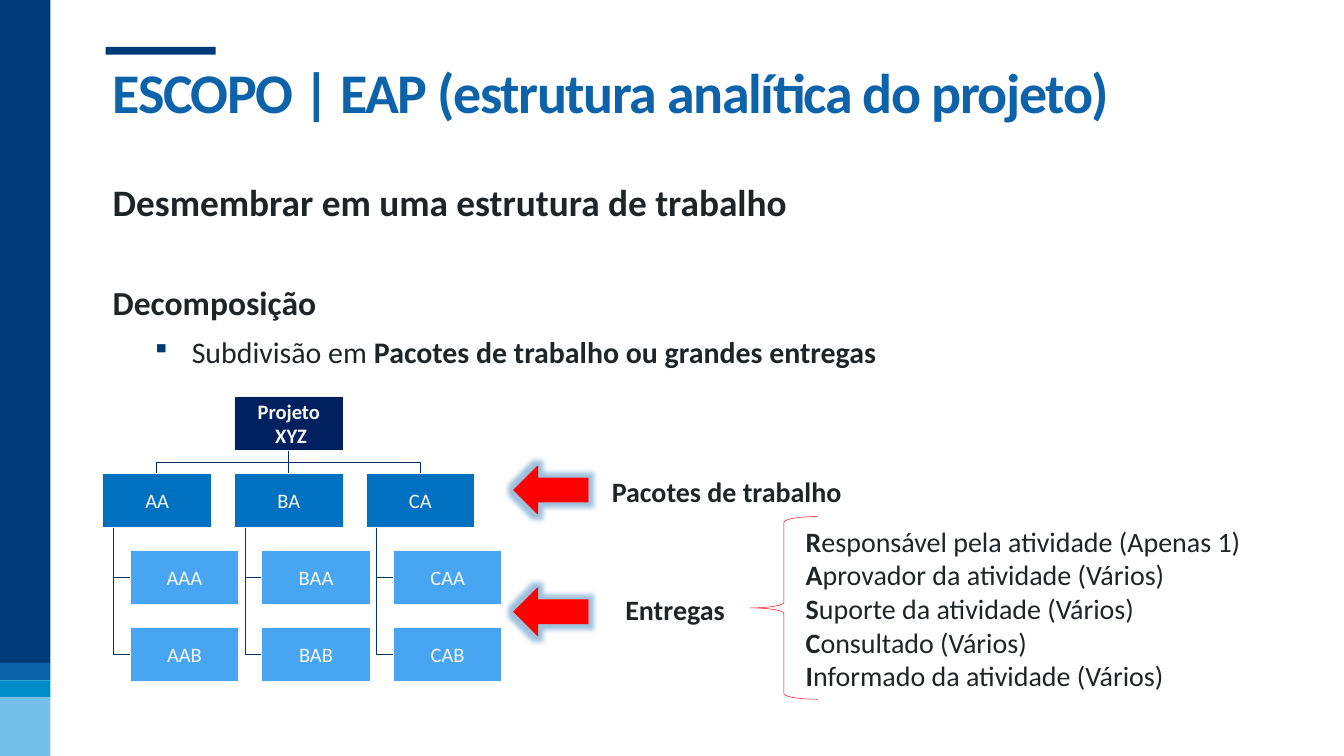
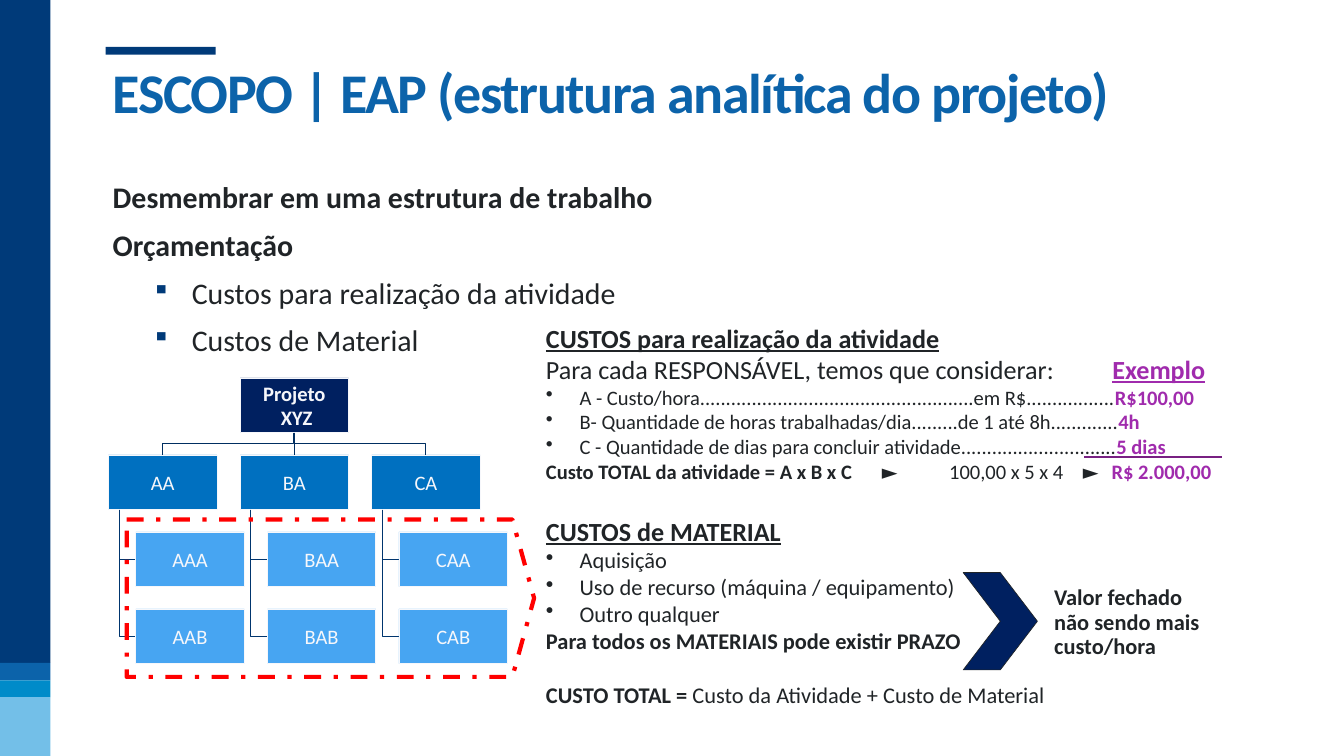
from lxml.etree import SubElement
from pptx import Presentation
from pptx.dml.color import RGBColor
from pptx.enum.dml import MSO_LINE
from pptx.enum.shapes import MSO_CONNECTOR, MSO_SHAPE
from pptx.enum.text import MSO_ANCHOR, PP_ALIGN
from pptx.oxml.ns import qn
from pptx.util import Pt

PX = 9525
FONT = "Calibri"
TITLE = "ESCOPO | EAP (estrutura analítica do projeto)"

NAVY = RGBColor(0x00, 0x3A, 0x79)
ROYAL = RGBColor(0x0C, 0x63, 0xAA)
CYAN = RGBColor(0x00, 0x8B, 0xC9)
SKY = RGBColor(0x73, 0xBF, 0xE8)
INK = RGBColor(0x20, 0x24, 0x27)
RED = RGBColor(0xFF, 0x00, 0x00)
VIOLET = RGBColor(0xA0, 0x2B, 0xAD)
PLUM = RGBColor(0x78, 0x20, 0x82)
ROOT_FILL = RGBColor(0x00, 0x20, 0x60)
PACKAGE_FILL = RGBColor(0x00, 0x70, 0xC0)
DELIVERY_FILL = RGBColor(0x47, 0xA5, 0xF2)
PALE = RGBColor(0xF6, 0xF7, 0xFB)
TRUNK = RGBColor(0x00, 0x2E, 0x61)
BRANCH = RGBColor(0x00, 0x35, 0x6E)

BODY = (151, 245, 1618, 763)
CARD_W, CARD_H = 155, 78
COL_STEP, ROW_STEP = 188, 110
CHILD_INDENT, STEM_X = 39, 15
SQUARE = {"char": "▪", "left": 113, "hang": 57, "color": NAVY, "percent": 85}
DOT = {"char": "•", "left": 48, "hang": 48}


def emu(*lengths):
    """Turn px lengths into EMU."""
    return [n * PX for n in lengths]


def add_shape(s, kind, box, fill=None, line=None, width=1):
    """Add a flat preset shape."""
    sp = s.shapes.add_shape(kind, *emu(*box))
    style(sp, fill, line, width)
    return sp


def style(sp, fill, line, width):
    """Set the fill and outline of a shape and remove its shadow."""
    sp.shadow.inherit = False
    if fill is None:
        sp.fill.background()
    else:
        sp.fill.solid()
        sp.fill.fore_color.rgb = fill
    if line is None:
        sp.line.fill.background()
    else:
        sp.line.color.rgb = line
        sp.line.width = Pt(width)


def add_line(s, start, end, color, width):
    """Add a straight connector without shadow."""
    line = s.shapes.add_connector(MSO_CONNECTOR.STRAIGHT, *emu(*start, *end))
    line.line.color.rgb = color
    line.line.width = Pt(width)
    SubElement(line._element.spPr, qn("a:effectLst"))
    return line


def add_polyline(s, points, color):
    """Add an open outline through the points."""
    builder = s.shapes.build_freeform(*points[0], scale=PX)
    builder.add_line_segments(points[1:], close=False)
    style(builder.convert_to_shape(), None, color, 1)


def set_insets(tf, left, top, right, bottom):
    """Set the four text margins."""
    tf.margin_left, tf.margin_top, tf.margin_right, tf.margin_bottom = emu(
        left, top, right, bottom)


def add_bullet(p, char, left, hang, color=None, percent=None):
    """Give a paragraph a bullet with a hanging indent."""
    pPr = p._p.get_or_add_pPr()
    pPr.set("marL", str(left * PX))
    pPr.set("indent", str(-hang * PX))
    if color is not None:
        SubElement(SubElement(pPr, qn("a:buClr")), qn("a:srgbClr"), val=str(color))
    if percent:
        SubElement(pPr, qn("a:buSzPct"), val=str(percent * 1000))
    SubElement(pPr, qn("a:buChar"), char=char)


def add_tabs(p, stops):
    """Give a paragraph left tab stops."""
    tabs = SubElement(p._p.get_or_add_pPr(), qn("a:tabLst"))
    for stop in stops:
        SubElement(tabs, qn("a:tab"), pos=str(stop * PX), algn="l")


def para(size, *runs, **options):
    """Describe a paragraph; run flags are b bold, u underlined, v violet."""
    return size, runs, options


def add_text(s, box, paras, insets=(17, 9, 17, 9), spacing=None, after=None, align=None):
    """Add a wrapping text box with formatted paragraphs."""
    tf = s.shapes.add_textbox(*emu(*box)).text_frame
    tf.word_wrap = True
    set_insets(tf, *insets)
    for i, (size, runs, options) in enumerate(paras):
        p = tf.add_paragraph() if i else tf.paragraphs[0]
        if "bullet" in options:
            add_bullet(p, **options["bullet"])
        if "tabs" in options:
            add_tabs(p, options["tabs"])
        if "before" in options:
            p.space_before = Pt(options["before"])
        if spacing:
            p.line_spacing = spacing
        if after:
            p.space_after = Pt(after)
        p.alignment = options.get("align", align)
        p.level = options.get("level", 0)
        for text, flags in runs:
            r = p.add_run()
            r.text = text
            r.font.name, r.font.size = FONT, Pt(size)
            r.font.bold = "b" in flags
            r.font.underline = "u" in flags
            r.font.color.rgb = VIOLET if "v" in flags else INK
    return tf


def add_frame(s):
    """Draw the side bands, the accent bar and the title."""
    edges = (0, 947, 972, 996, 1080)
    for top, bottom, color in zip(edges, edges[1:], (NAVY, ROYAL, CYAN, SKY)):
        add_shape(s, MSO_SHAPE.RECTANGLE, (-1, top, 73, bottom - top), color)
    add_shape(s, MSO_SHAPE.RECTANGLE, (151, 67, 157, 11), NAVY)
    tf = add_text(s, (151, 78, 1618, 105), [para(60, (TITLE, "b"))], (10, 37, 10, 5))
    tf.vertical_anchor = MSO_ANCHOR.BOTTOM
    r = tf.paragraphs[0].runs[0]
    r.font.color.rgb = ROYAL
    r._r.get_or_add_rPr().set("spc", "-150")


def add_body(s, paras):
    """Write the main topics below the title."""
    add_text(s, BODY, paras, (10, 5, 10, 5), spacing=1.1, after=9)


def topic(*runs):
    """Describe a second-level body paragraph."""
    return para(32, *runs, bullet=SQUARE, level=1, align=PP_ALIGN.JUSTIFY)


def add_card(s, x, y, text, fill, bold=False):
    """Add one box of the breakdown tree."""
    sp = add_shape(s, MSO_SHAPE.RECTANGLE, (x, y, CARD_W, CARD_H), fill, PALE)
    tf = sp.text_frame
    tf.text = text
    tf.vertical_anchor = MSO_ANCHOR.MIDDLE
    set_insets(tf, 2, 2, 2, 2)
    for p in tf.paragraphs:
        p.alignment = PP_ALIGN.CENTER
        for r in p.runs:
            r.font.name, r.font.size, r.font.bold = FONT, Pt(22), bold
            r.font.color.rgb = PALE
    return sp


def add_tree(s, left, top):
    """Draw the work breakdown structure from its top left corner."""
    root_x = left + COL_STEP
    root_mid = root_x + CARD_W // 2
    package_y = top + ROW_STEP
    bar_y = (top + CARD_H + package_y) // 2
    root = add_card(s, root_x, top, "Projeto\n XYZ", ROOT_FILL, True)
    for col, letter in enumerate("ABC"):
        x = left + col * COL_STEP
        mid = x + CARD_W // 2
        package = add_card(s, x, package_y, letter + "A", PACKAGE_FILL)
        if mid == root_mid:
            trunk = add_line(s, (mid, top + CARD_H), (mid, package_y), TRUNK, 1)
            trunk.begin_connect(root, 2)
            trunk.end_connect(package, 0)
        else:
            add_polyline(s, [(root_mid, top + CARD_H), (root_mid, bar_y),
                             (mid, bar_y), (mid, package_y)], TRUNK)
        for row, suffix in enumerate("AB", 1):
            y = package_y + row * ROW_STEP
            stem, middle = x + STEM_X, y + CARD_H // 2
            add_polyline(s, [(stem, package_y + CARD_H), (stem, middle),
                             (x + CHILD_INDENT, middle)], BRANCH)
            add_card(s, x + CHILD_INDENT, y, letter + "A" + suffix, DELIVERY_FILL)


def add_red_arrow(s, left, top):
    """Add a glowing arrow that points left."""
    sp = add_shape(s, MSO_SHAPE.DOWN_ARROW, (left, top, 68, 106), RED, RED)
    sp.rotation = 90
    effects = sp._element.spPr.find(qn("a:effectLst"))
    glow = SubElement(effects, qn("a:glow"), rad="139700")
    color = SubElement(glow, qn("a:srgbClr"), val=str(ROYAL))
    SubElement(color, qn("a:alpha"), val="40000")


def add_roles(s, left, top):
    """List the activity roles beside a brace."""
    roles = ("Responsável pela atividade (Apenas 1)", "Aprovador da atividade (Vários)",
             "Suporte da atividade (Vários)", "Consultado (Vários)",
             "Informado da atividade (Vários)")
    add_text(s, (left + 62, top + 2, 658, 259),
             [para(30, (role[0], "b"), (role[1:], "")) for role in roles])
    add_shape(s, MSO_SHAPE.LEFT_BRACE, (left, top, 96, 261), line=RED, width=0.5)


def add_costs(s, left, top):
    """Write the cost rules with the worked example."""
    add_text(s, (left, top, 1104, 586), [
        para(28, ("CUSTOS para realização da atividade", "bu")),
        para(28, ("Para cada RESPONSÁVEL, temos que considerar:\t", ""),
             ("Exemplo", "buv"), tabs=[809]),
        para(22, ("A - Custo/hora" + "." * 53 + "em R$" + "." * 17, ""),
             ("R$100,00", "bv"), bullet=DOT),
        para(22, ("B- Quantidade de horas trabalhadas/dia.........de 1 até 8h.............", ""),
             ("4h", "bv"), bullet=DOT),
        para(22, ("C - Quantidade de dias para concluir atividade" + "." * 30, ""),
             ("5 dias", "bv"), bullet=DOT),
        para(22, ("Custo TOTAL da atividade = A x B x C", "b"),
             ("\t►\t100,00 x 5 x 4\t►\t", ""), ("R$ 2.000,00", "bv"),
             tabs=[480, 576, 767, 808]),
        para(28, ("CUSTOS de MATERIAL", "bu"), before=34),
        para(24, ("Aquisição", ""), bullet=DOT),
        para(24, ("Uso de recurso (máquina / equipamento)", ""), bullet=DOT),
        para(24, ("Outro qualquer", ""), bullet=DOT),
        para(24, ("Para todos os MATERIAIS pode existir PRAZO", "b")),
        para(24, ("CUSTO TOTAL = ", "b"),
             ("Custo da Atividade + Custo de Material", ""), before=29),
    ])
    add_line(s, (left + 786, top + 202), (left + 983, top + 202), PLUM, 3)


def add_closed_value(s, left, top):
    """Draw the chevron and its conclusion."""
    add_text(s, (left + 113, top + 11, 257, 122),
             [para(24, ("Valor fechado não sendo mais custo/hora", "b"))], spacing=0.9)
    add_shape(s, MSO_SHAPE.CHEVRON, (left, top, 106, 139), ROOT_FILL, INK, 0.75)


def add_delivery_outline(s, box):
    """Outline the deliveries with a dashed pentagon."""
    sp = add_shape(s, MSO_SHAPE.PENTAGON, box, line=RED, width=4.5)
    sp.adjustments[0] = 0.138
    sp.line.dash_style = MSO_LINE.DASH_DOT


def build_decomposition(s):
    """Build the slide on work packages and deliveries."""
    add_frame(s)
    add_tree(s, 147, 566)
    add_red_arrow(s, 753, 647)
    add_text(s, (857, 675, 851, 60), [para(30, ("Pacotes de trabalho", "b"))], spacing=0.9)
    add_red_arrow(s, 753, 821)
    add_text(s, (783, 843, 363, 60), [para(30, ("Entregas", "b"))],
             spacing=0.9, align=PP_ALIGN.CENTER)
    add_roles(s, 1072, 738)
    add_body(s, [
        para(40, ("Desmembrar em uma estrutura de trabalho", "b")),
        para(36, ("Decomposição", "b"), before=48),
        topic(("Subdivisão em ", ""), ("Pacotes de trabalho ou grandes entregas", "b")),
    ])


def build_budget(s):
    """Build the slide on activity and material costs."""
    add_frame(s)
    add_costs(s, 763, 451)
    add_body(s, [
        para(32, ("Desmembrar em uma estrutura de trabalho", "b")),
        para(32, ("Orçamentação", "b")),
        topic(("Custos para realização da atividade", "")),
        topic(("Custos de Material", "")),
    ])
    add_tree(s, 155, 540)
    add_closed_value(s, 1376, 818)
    add_delivery_outline(s, (181, 742, 582, 225))


def main():
    """Build and save the presentation."""
    prs = Presentation()
    prs.slide_width, prs.slide_height = emu(1920, 1080)
    for build in (build_decomposition, build_budget):
        build(prs.slides.add_slide(prs.slide_layouts[6]))
    prs.save("out.pptx")


if __name__ == "__main__":
    main()
